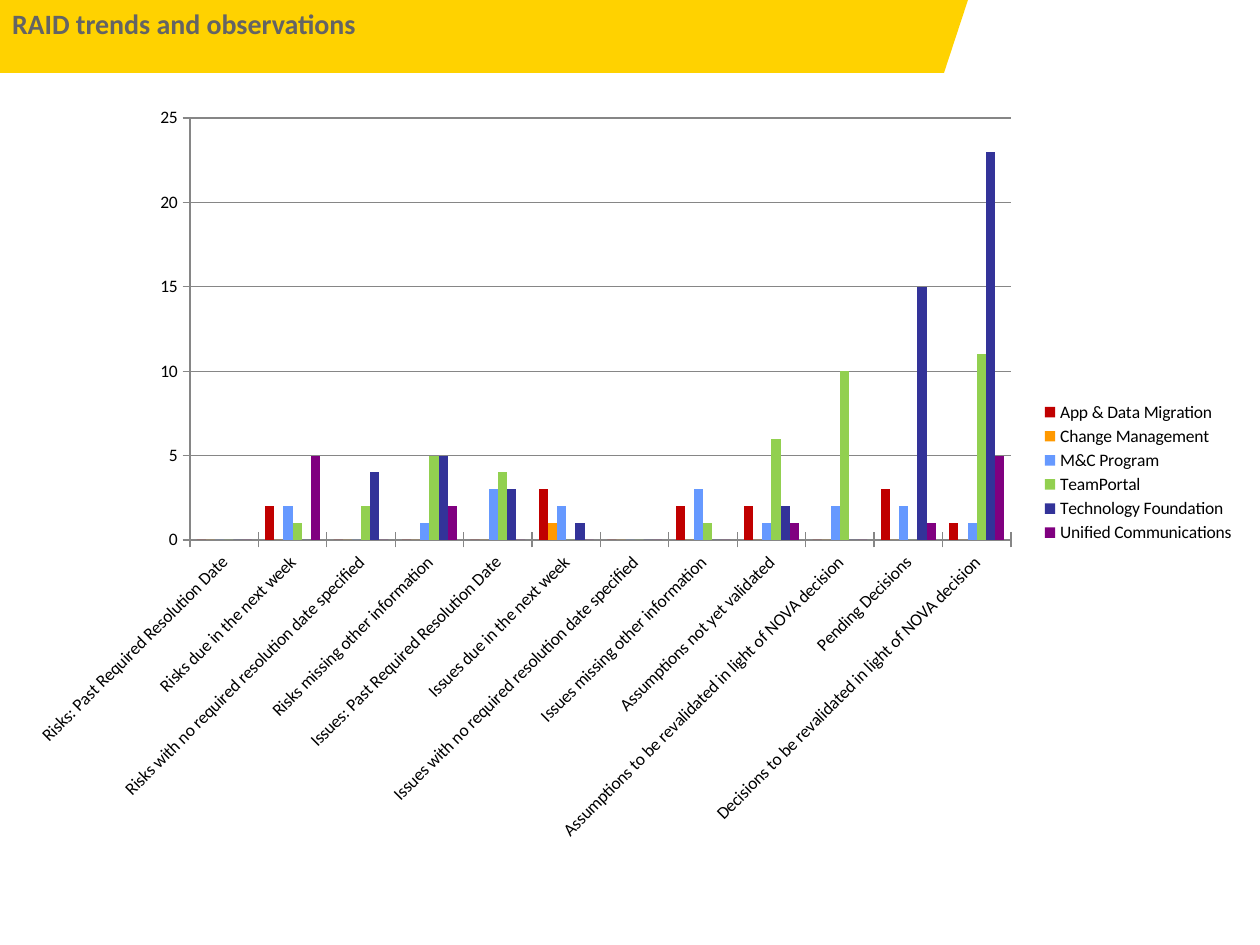
from dataclasses import dataclass

from lxml import etree
from pptx import Presentation
from pptx import util as u
from pptx.chart.data import CategoryChartData
from pptx.dml.color import RGBColor
from pptx.enum import chart as ch
from pptx.enum import text
from pptx.oxml import parse_xml
from pptx.oxml.ns import nsdecls, qn

PX = u.Inches(1) // 126


@dataclass(frozen=True)
class Theme:
    font: str = "Calibri"
    title_size: int = 16
    chart_size: int = 10
    banner: str = "FFD200"
    title: str = "646464"
    label: str = "000000"
    axis: str = "868686"


THEME = Theme()

CATEGORIES = [
    "Risks: Past Required Resolution Date",
    "Risks due in the next week",
    "Risks with no required resolution date specified",
    "Risks missing other information",
    "Issues: Past Required Resolution Date",
    "Issues due in the next week",
    "Issues with no required resolution date specified",
    "Issues missing other information",
    "Assumptions not yet validated",
    "Assumptions to be revalidated in light of NOVA decision",
    "Pending Decisions",
    "Decisions to be revalidated in light of NOVA decision",
]
WORKSTREAMS = [
    ("App & Data Migration", "C00000", [0, 2, 0, 0, 0, 3, 0, 2, 2, 0, 3, 1]),
    ("Change Management", "FF9900", [0, 0, 0, 0, 0, 1, 0, 0, 0, 0, 0, 0]),
    ("M&C Program", "6699FF", [0, 2, 0, 1, 3, 2, 0, 3, 1, 2, 2, 1]),
    ("TeamPortal", "92D050", [0, 1, 2, 5, 4, 0, 0, 1, 6, 10, 0, 11]),
    ("Technology Foundation", "333399", [0, 0, 4, 5, 3, 1, 0, 0, 2, 0, 15, 23]),
    ("Unified Communications", "800080", [0, 5, 0, 2, 0, 0, 0, 0, 1, 0, 1, 5]),
]


def color(value):
    return RGBColor.from_string(value)


def style_font(font, size, value, bold=False):
    font.name = THEME.font
    font.size = u.Pt(size)
    font.bold = bold
    font.color.rgb = color(value)


def add_banner(slide, left, top, width, height, slant=24):
    """Draw the slanted title band and set the title on top of it."""
    builder = slide.shapes.build_freeform(left + width, top, scale=PX)
    builder.add_line_segments([
        (left + width - slant, top + height),
        (left, top + height),
        (left, top),
    ], close=True)
    band = builder.convert_to_shape()
    band.shadow.inherit = False
    band.fill.solid()
    band.fill.fore_color.rgb = color(THEME.banner)
    band.line.fill.background()

    title = slide.shapes.title
    title.left, title.top = left * PX, top * PX
    title.width, title.height = width * PX, height * PX
    slide.shapes._spTree.append(title._element)  # in front of the band
    frame = title.text_frame
    frame.text = "RAID trends and observations"
    frame.word_wrap = True
    frame.auto_size = text.MSO_AUTO_SIZE.NONE
    frame.vertical_anchor = text.MSO_ANCHOR.TOP
    frame.margin_left, frame.margin_top = 12 * PX, 7 * PX
    frame.margin_right = frame.margin_bottom = 0
    paragraph = frame.paragraphs[0]
    paragraph.alignment = text.PP_ALIGN.LEFT
    style_font(paragraph.runs[0].font, THEME.title_size, THEME.title, bold=True)


def set_layout(parent, index, box, chart_box, inner=False):
    """Fix a chart part at box, in px relative to the chart's corner."""
    for old in parent.findall(qn("c:layout")):
        parent.remove(old)
    layout = parse_xml(f"<c:layout {nsdecls('c')}><c:manualLayout/></c:layout>")
    settings = [("layoutTarget", "inner")] if inner else []
    settings += [("xMode", "edge"), ("yMode", "edge")]
    settings += [(name, f"{length / chart_box[i % 2]:.4f}")
                 for i, (name, length) in enumerate(zip("xywh", box))]
    for name, value in settings:
        etree.SubElement(layout[0], qn(f"c:{name}")).set("val", value)
    parent.insert(index, layout)


def style_axis(axis):
    axis.major_tick_mark = ch.XL_TICK_MARK.CROSS
    axis.minor_tick_mark = ch.XL_TICK_MARK.NONE
    axis.format.line.color.rgb = color(THEME.axis)
    axis.format.line.width = u.Pt(0.75)
    style_font(axis.tick_labels.font, THEME.chart_size, THEME.label)


def add_raid_chart(slide, left, top, width, height):
    data = CategoryChartData(number_format="General")
    data.categories = CATEGORIES
    for name, _, values in WORKSTREAMS:
        data.add_series(name, values)
    chart = slide.shapes.add_chart(
        ch.XL_CHART_TYPE.COLUMN_CLUSTERED,
        left * PX, top * PX, width * PX, height * PX, data).chart
    chart.has_title = False
    style_font(chart.font, THEME.chart_size, THEME.label)

    plot = chart.plots[0]
    plot.vary_by_categories = False
    plot.gap_width, plot.overlap = 150, 0
    for series, (_, fill, _) in zip(plot.series, WORKSTREAMS):
        series.format.fill.solid()
        series.format.fill.fore_color.rgb = color(fill)
        series.invert_if_negative = False

    style_axis(chart.category_axis)
    label_body = chart.category_axis._element.find(qn("c:txPr")).find(qn("a:bodyPr"))
    label_body.set("rot", str(-45 * 60000))
    label_body.set("vert", "horz")

    value_axis = chart.value_axis
    style_axis(value_axis)
    value_axis.minimum_scale, value_axis.maximum_scale = 0, 25
    value_axis.major_unit = 5
    value_axis.has_major_gridlines = True
    grid_line = value_axis.major_gridlines.format.line
    grid_line.color.rgb = color(THEME.axis)
    grid_line.width = u.Pt(0.75)

    chart.has_legend = True
    legend = chart.legend
    legend.position = ch.XL_LEGEND_POSITION.RIGHT
    legend.include_in_layout = False
    style_font(legend.font, THEME.chart_size, THEME.label)

    chart_box = (width, height)
    plot_area = chart._chartSpace.chart.plotArea
    set_layout(plot_area, 0, (175, 26, 821, 422), chart_box, inner=True)
    set_layout(legend._element, 1, (1020, 306, 206, 149), chart_box)


def main():
    presentation = Presentation()
    presentation.slide_width = u.Inches(10)
    presentation.slide_height = u.Inches(7.5)
    slide = presentation.slides.add_slide(presentation.slide_layouts[5])
    add_raid_chart(slide, 15, 92, 1230, 760)
    add_banner(slide, 0, 0, 968, 73)
    presentation.save("out.pptx")


if __name__ == "__main__":
    main()
